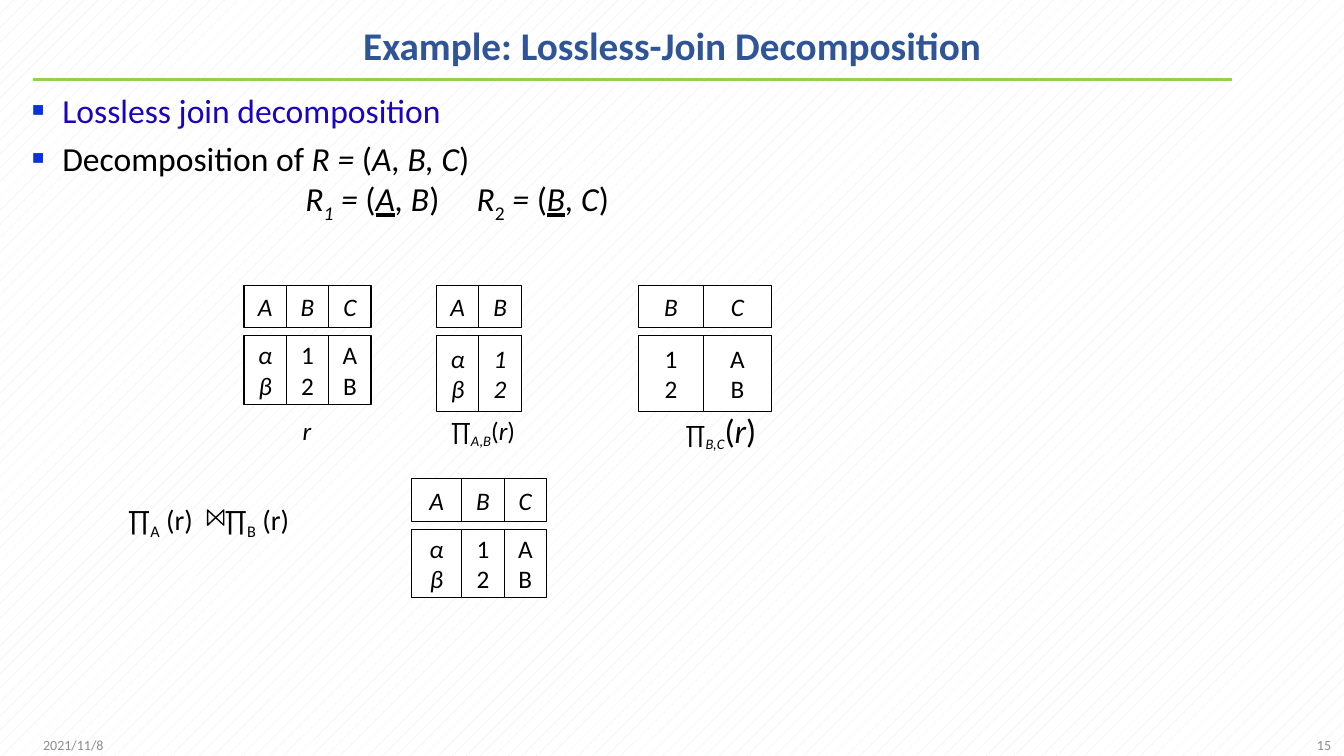
"""Build the slide on lossless-join decomposition."""
from lxml import etree
from pptx import Presentation
from pptx import util as u
from pptx.dml.color import RGBColor
from pptx.enum import dml, shapes, text
from pptx.oxml import ns

PX = 9144
HUE = {
    "title": "2F5597", "rule": "92D050", "topic": "1A04BC", "bullet": "0B32D9",
    "ink": "000000", "note": "8C8C8C", "paper": "FFFFFF", "dots": "DCECE0",
}
RGB = {name: RGBColor.from_string(code) for name, code in HUE.items()}
LEFT, MID, RIGHT = text.PP_ALIGN.LEFT, text.PP_ALIGN.CENTER, text.PP_ALIGN.RIGHT


def put(para, words, size=18, hue="ink", bold=False, italic=False, under=False, sub=False):
    """Add one run with its format to a paragraph."""
    run = para.add_run()
    run.text = words
    font = run.font
    font.name, font.size = "Calibri", u.Pt(size)
    font.bold, font.italic, font.underline = bold, italic, under
    font.color.rgb = RGB[hue]
    if sub:
        run._r.get_or_add_rPr().set("baseline", "-25000")


def box(place, align=LEFT, top=False):
    """Add a text box and return its first paragraph."""
    frame = slide.shapes.add_textbox(*[n * PX for n in place]).text_frame
    frame.word_wrap = True
    frame.vertical_anchor = text.MSO_ANCHOR.TOP if top else text.MSO_ANCHOR.MIDDLE
    para = frame.paragraphs[0]
    para.alignment = align
    return para


deck = Presentation()
deck.slide_width, deck.slide_height = 1333 * PX, 750 * PX
slide = deck.slides.add_slide(deck.slide_layouts[6])
back = slide.background.fill
back.patterned()
back.pattern = dml.MSO_PATTERN.PERCENT_5
back.fore_color.rgb, back.back_color.rgb = RGB["dots"], RGB["paper"]

rule = slide.shapes.add_connector(
    shapes.MSO_CONNECTOR.STRAIGHT, 33 * PX, 79 * PX, 1222 * PX, 79 * PX)
rule.line.color.rgb, rule.line.width = RGB["rule"], u.Pt(2.25)
etree.SubElement(rule._element.spPr, ns.qn("a:effectLst"))

head = box((34, 9, 1265, 77), MID)
head.line_spacing = 0.9
put(head, "Example: Lossless-Join Decomposition", size=28, hue="title", bold=True)
put(box((33, 719, 300, 40)), "2021/11/8", size=10, hue="note")
put(box((1030, 719, 300, 40), RIGHT), "15", size=10, hue="note")

topic = box((22, 84, 1294, 636), top=True)
split = topic._parent.add_paragraph()
for para in (topic, split):
    props = para._p.get_or_add_pPr()
    props.set("marL", str(30 * PX))
    props.set("indent", str(-30 * PX))
    tint = etree.SubElement(props, ns.qn("a:buClr"))
    etree.SubElement(tint, ns.qn("a:srgbClr"), val=HUE["bullet"])
    etree.SubElement(props, ns.qn("a:buSzPct"), val="60000")
    etree.SubElement(props, ns.qn("a:buFont"), typeface="Arial")
    etree.SubElement(props, ns.qn("a:buChar"), char="■")
split.space_before = u.Pt(5.6)

join = box((117, 494, 275, 95), top=True)
for para, stops in ((split, (271, 441)), (join, (96,))):
    tabs = etree.SubElement(para._p.get_or_add_pPr(), ns.qn("a:tabLst"))
    for stop in stops:
        etree.SubElement(tabs, ns.qn("a:tab"), pos=str(stop * PX), algn="l")

put(topic, "Lossless join decomposition", size=24, hue="topic")
for words, look in (
    ("Decomposition of ", ""), ("R = ", "i"), ("(", ""), ("A, B, C", "i"), (")", ""),
    ("\n", ""),
    ("\tR", "i"), ("1", "is"), (" = ", "i"), ("(", ""), ("A", "iu"), (", B", "i"), (")", ""),
    ("\tR", "i"), ("2", "s"), (" =", "i"), (" (", ""), ("B", "iu"), (", C", "i"), (")", ""),
):
    if words == "\n":
        split.add_line_break()
    else:
        put(split, words, size=24, italic="i" in look, under="u" in look, sub="s" in look)

for words, sub in (("∏", False), ("A", True), (" (r)\t∏", False), ("B", True), (" (r)", False)):
    put(join, words, size=20, sub=sub)

GREEK, NUMS, CAPS = "αβ", "12", "AB"
for left, top, tall, cols in (
    (242, 283, 68, (("A", GREEK, 42, True), ("B", NUMS, 42, False), ("C", CAPS, 42, False))),
    (433, 283, 75, (("A", GREEK, 42, True), ("B", NUMS, 42, True))),
    (633, 283, 75, (("B", NUMS, 65, False), ("C", CAPS, 67, False))),
    (408, 475, 68, (("A", GREEK, 50, True), ("B", NUMS, 42, False), ("C", CAPS, 42, False))),
):
    for name, vals, wide, slant in cols:
        for lines, y, high, italic in ((name, top, 42, True), (vals, top + 50, tall, slant)):
            cell = slide.shapes.add_shape(
                shapes.MSO_SHAPE.RECTANGLE, left * PX, y * PX, wide * PX, high * PX)
            cell.shadow.inherit = False
            cell.fill.solid()
            cell.fill.fore_color.rgb = RGB["paper"]
            cell.line.color.rgb, cell.line.width = RGB["ink"], u.Pt(0.75)
            frame = cell.text_frame
            frame.word_wrap = False
            frame.vertical_anchor = text.MSO_ANCHOR.MIDDLE
            for i, mark in enumerate(lines):
                para = frame.add_paragraph() if i else frame.paragraphs[0]
                para.alignment = MID
                put(para, mark, italic=italic)
        left += wide

put(box((290, 407, 29, 40), MID), "r", italic=True)
for place, attrs, size in (((408, 409, 142, 40), "A,B", 18), ((658, 403, 114, 50), "B,C", 24)):
    label = box(place, MID)
    put(label, "∏")
    put(label, attrs, italic=True, sub=True)
    put(label, "(", size=size)
    put(label, "r", size=size, italic=True)
    put(label, ")", size=size)

path = slide.shapes.build_freeform(206, 506, scale=PX)
path.add_line_segments([(206, 521), (222, 506), (222, 521)], close=True)
bow = path.convert_to_shape()
bow.shadow.inherit = False
bow.fill.background()
bow.line.color.rgb, bow.line.width = RGB["ink"], u.Pt(1)

deck.save("out.pptx")
